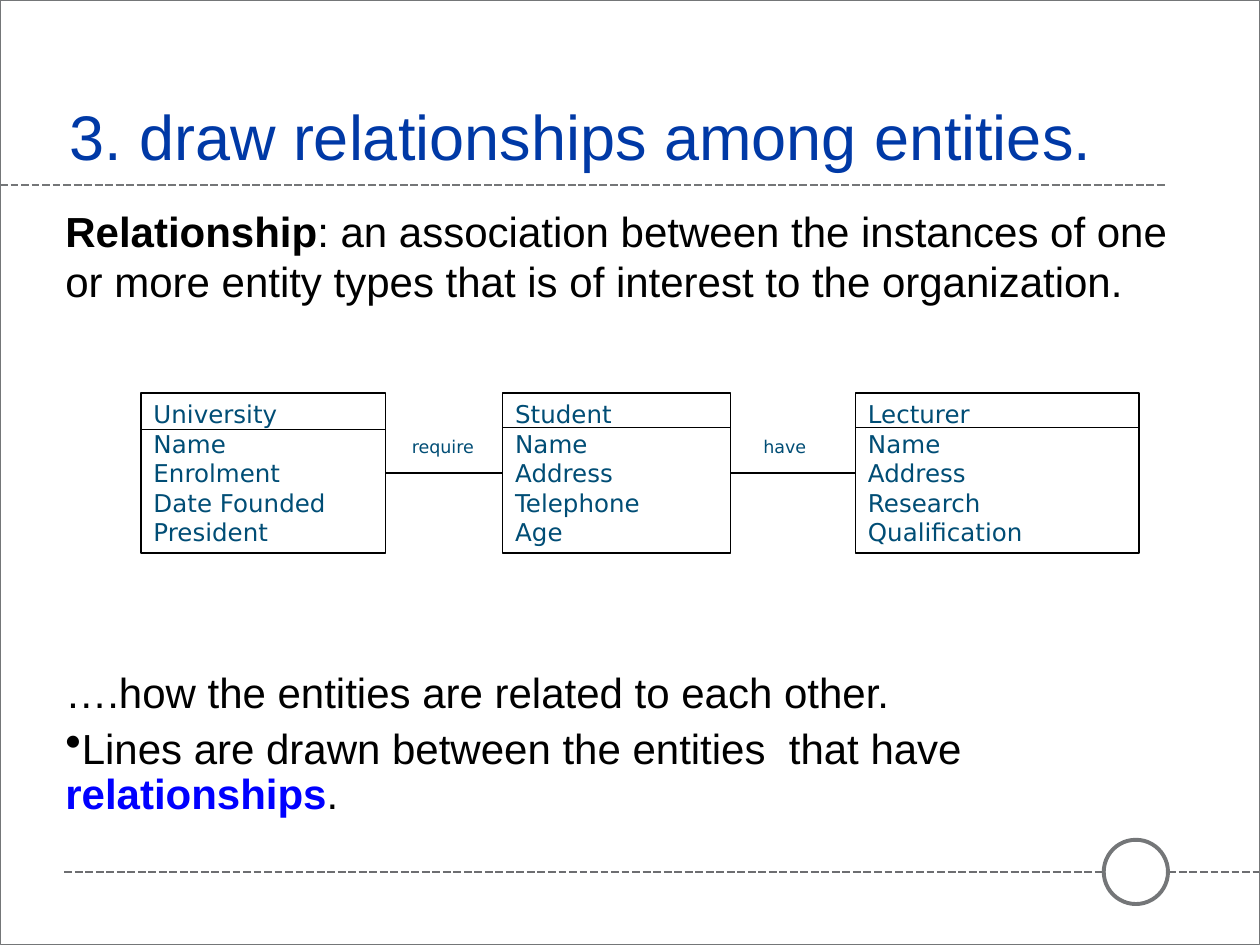
"""Build a slide that shows relationships drawn among entities."""
from lxml import etree
from pptx import Presentation
from pptx.dml.color import RGBColor
from pptx.enum.dml import MSO_LINE
from pptx.enum.shapes import MSO_CONNECTOR, MSO_SHAPE
from pptx.enum.text import MSO_ANCHOR
from pptx.oxml.ns import qn
from pptx.util import Pt

RECT, OVAL = MSO_SHAPE.RECTANGLE, MSO_SHAPE.OVAL
STRAIGHT = MSO_CONNECTOR.STRAIGHT
DASH = MSO_LINE.SQUARE_DOT
TOP, MIDDLE = MSO_ANCHOR.TOP, MSO_ANCHOR.MIDDLE
LEFT_SIDE, RIGHT_SIDE = 1, 3

COLORS = {"title": "0039A6", "black": "000000", "accent": "0000FF",
          "entity": "004D75", "gray": "747678", "footer": "6D6E71",
          "white": "FFFFFF"}
BODY, DIAGRAM = "Arial", "DejaVu Sans"
WIDTH, HEIGHT = 720, 540

TITLE = "3. draw relationships among entities."
DEFINITION = [[
    ("Relationship", {"bold": True}),
    ": an association between the instances of one or more entity types "
    "that is of interest to the organization.",
]]
NOTES = [
    "….how the entities are related to each other.",
    ["Lines are drawn between the entities  that have ",
     ("relationships", {"bold": True, "color": "accent"}), "."],
]
ENTITIES = [
    (80.64, 139.68, 24.6 - 3.9, ["University", "Name", "Enrolment", "Date Founded", "President"]),
    (287.28, 130.32, 19.5, ["Student", "Name", "Address", "Telephone", "Age"]),
    (488.88, 162, 19.5, ["Lecturer", "Name", "Address", "Research", "Qualification"]),
]
RELATIONS = [("require", 228.24), ("have", 429.12)]
ENTITY_TOP, ENTITY_HEIGHT = 224.64, 91.44
LABEL_TOP, LABEL_WIDTH, LABEL_HEIGHT = 245.52, 51.84, 19.44
FOOTER_Y, CIRCLE = 498.24, 36.72


def rgb(name):
    return RGBColor.from_string(COLORS[name])


def write(s, paragraphs, font=BODY, size=24, color="black", anchor=TOP,
          before=0, after=0, spacing=None):
    tf = s.text_frame
    tf.word_wrap = True
    tf.vertical_anchor = anchor
    for i, runs in enumerate(paragraphs):
        p = tf.paragraphs[0] if i == 0 else tf.add_paragraph()
        p.space_before, p.space_after = Pt(before), Pt(after)
        if spacing:
            p.line_spacing = spacing
        for run in [runs] if isinstance(runs, str) else runs:
            text, style = (run, {}) if isinstance(run, str) else run
            r = p.add_run()
            r.text = text
            r.font.name, r.font.size = font, Pt(size)
            r.font.bold = style.get("bold", False)
            r.font.color.rgb = rgb(style.get("color", color))
    return tf


def add_text(slide, box, paragraphs, **style):
    return write(slide.shapes.add_textbox(*map(Pt, box)), paragraphs, **style)


def add_box(slide, kind, box, line, width, fill="white"):
    s = slide.shapes.add_shape(kind, *map(Pt, box))
    s.shadow.inherit = False
    if fill:
        s.fill.solid()
        s.fill.fore_color.rgb = rgb(fill)
    else:
        s.fill.background()
    s.line.color.rgb, s.line.width = rgb(line), Pt(width)
    return s


def add_line(slide, x1, y1, x2, y2, color="black", width=0.75, dash=None):
    c = slide.shapes.add_connector(STRAIGHT, Pt(x1), Pt(y1), Pt(x2), Pt(y2))
    c.line.color.rgb, c.line.width = rgb(color), Pt(width)
    if dash:
        c.line.dash_style = dash
    etree.SubElement(c.element.spPr, qn("a:effectLst"))
    return c


def add_bullet(p):
    pPr = p._p.get_or_add_pPr()
    pPr.set("marL", "0")
    pPr.set("indent", "0")
    etree.SubElement(pPr, qn("a:buSzPct")).set("val", "110000")
    etree.SubElement(pPr, qn("a:buChar")).set("char", "•")


def add_entity(slide, left, width, header, lines):
    s = add_box(slide, RECT, (left, ENTITY_TOP, width, ENTITY_HEIGHT), "black", 0.75)
    write(s, lines, font=DIAGRAM, size=14, color="entity")
    for p in s.text_frame.paragraphs:
        p.alignment = 1
    y = ENTITY_TOP + header
    add_line(slide, left, y, left + width, y)
    return s


def main():
    prs = Presentation()
    prs.slide_width, prs.slide_height = Pt(WIDTH), Pt(HEIGHT)
    slide = prs.slides.add_slide(prs.slide_layouts[6])

    add_line(slide, 36.72, FOOTER_Y, WIDTH, FOOTER_Y, "footer", 1.5, DASH)
    add_box(slide, OVAL, (630.72, FOOTER_Y - CIRCLE / 2, CIRCLE, CIRCLE), "gray", 2.25)
    add_box(slide, RECT, (0, 0, WIDTH, HEIGHT), "gray", 0.5, fill=None)
    add_line(slide, 0, 105.84, 666, 105.84, "gray", 1.5, DASH)

    add_text(slide, (32.4, 43.92, 687.6, 66.96), [TITLE], size=36,
             color="title", anchor=MIDDLE)
    add_text(slide, (30.24, 113.76, 653.76, 70), DEFINITION, before=6, after=6)
    notes = add_text(slide, (30.24, 380.4, 653.76, 100), NOTES, after=6, spacing=0.9)
    add_bullet(notes.paragraphs[-1])

    boxes = [add_entity(slide, *entity) for entity in ENTITIES]
    for start, end, (label, left) in zip(boxes, boxes[1:], RELATIONS):
        c = add_line(slide, 0, 0, 0, 0)
        c.begin_connect(start, RIGHT_SIDE)
        c.end_connect(end, LEFT_SIDE)
        add_text(slide, (left, LABEL_TOP, LABEL_WIDTH, LABEL_HEIGHT), [label],
                 font=DIAGRAM, size=10, color="entity")

    prs.save("out.pptx")


if __name__ == "__main__":
    main()
